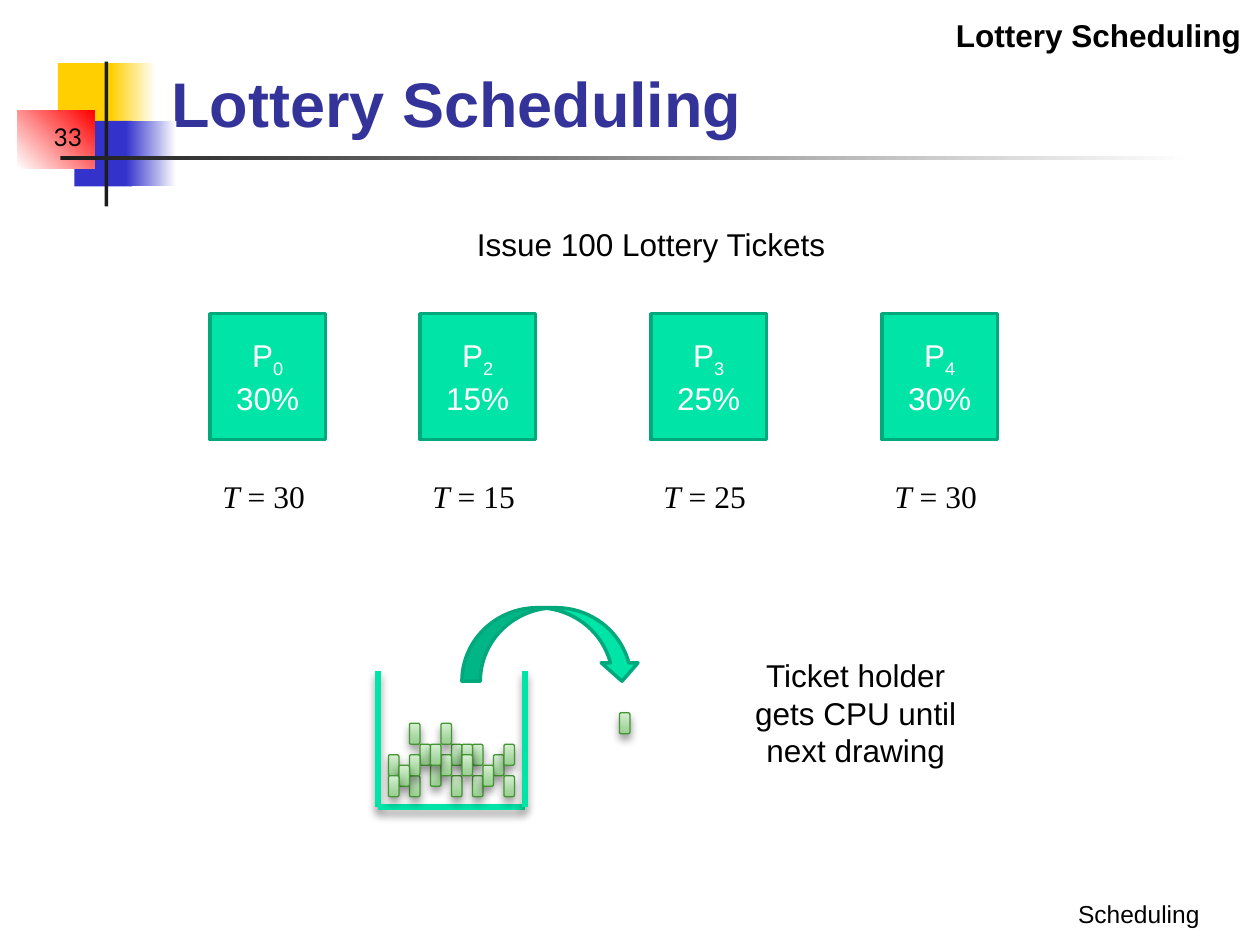
"""Build the lottery scheduling slide."""
from dataclasses import dataclass
from typing import Any, NamedTuple, Optional

import pptx
import pptx.dml.color
import pptx.enum.shapes
import pptx.enum.text
import pptx.oxml
import pptx.oxml.ns
import pptx.util
from lxml import etree

SHAPES = pptx.enum.shapes.MSO_SHAPE
ALIGN = pptx.enum.text.PP_ALIGN
ANCHOR = pptx.enum.text.MSO_ANCHOR
WIDTH, HEIGHT = pptx.util.Inches(10), pptx.util.Inches(7.5)
COLUMNS, ROWS, ROW_SHIFT = 120, 90, -0.12


@dataclass(frozen=True)
class Theme:
    """Colours, fonts and sizes of the slide."""
    ink: str = "000000"
    paper: str = "FFFFFF"
    title: str = "333399"
    yellow: str = "FFCF01"
    blue: str = "3333CC"
    red: str = "FF0000"
    rule: str = "1C1C1C"
    process: str = "00E4A8"
    process_edge: str = "00A97C"
    ticket: tuple = ((0, "9CCE95"), (25, "A4D59D"), (100, "D6EFD3"))
    ticket_edge: str = "439631"
    sans: str = "Arial"
    serif: str = "Times New Roman"
    number: str = "Lato"
    title_size: float = 36
    body_size: float = 18
    small_size: float = 14
    edge_width: float = 2
    urn_width: float = 3.35
    ticket_width: float = 0.75


THEME = Theme()


class Area(NamedTuple):
    """Left, top, width and height in percent of the slide."""
    left: float
    top: float
    width: float
    height: float

    def emu(self) -> list[int]:
        """Return the lengths in EMU."""
        return [round(share * side / 100) for share, side in zip(self, (WIDTH, HEIGHT) * 2)]


class Piece(NamedTuple):
    """A run of text with its font values and baseline."""
    words: str
    values: dict[str, Any] = {}
    baseline: int = 0


class Process(NamedTuple):
    """A process with its ticket share, column and label width."""
    index: str
    share: int
    column: int
    label_columns: int = 11


class Decor(NamedTuple):
    """A rectangle of the header ornament."""
    area: Area
    stops: tuple
    angle: float = 0


DECOR = (
    Decor(Area(4.6, 6.67, 4.8, 6.93), ((0, THEME.yellow),)),
    Decor(Area(8.8, 6.67, 3.6, 6.93), ((0, THEME.yellow), (100, THEME.paper))),
    Decor(Area(5.9, 12.8, 4.6, 6.93), ((0, THEME.blue),)),
    Decor(Area(10, 12.8, 4, 6.93), ((0, THEME.blue), (100, THEME.paper))),
    Decor(Area(1.4, 11.73, 6.1, 6.13), ((0, THEME.paper), (100, THEME.red)), 45),
    Decor(Area(8.3, 6.53, 0.3, 15.33), ((0, THEME.rule),)),
    Decor(Area(4.8, 16.53, 90, 0.4), ((0, THEME.rule), (100, THEME.paper))),
)
PROCESSES = (Process("0", 30, 20), Process("2", 15, 40), Process("3", 25, 62), Process("4", 30, 84, 13))
URN_CORNERS = ((36, 64), (36, 77), (50, 77), (50, 64))
TICKETS = (
    (39, 69), (41, 73), (43, 71), (45, 71), (43, 74), (37, 72), (40, 71),
    (45, 74), (47, 72), (39, 74), (48, 74), (42, 69), (48, 71), (44, 71),
    (46, 73), (39, 72), (44, 72), (38, 73), (37, 74), (42, 72), (41, 71),
)
DRAWN_TICKET = (59, 68)


def grid(column: float, row: float, columns: float = 0, rows: float = 0) -> Area:
    """Turn grid cells into shares of the slide."""
    return Area(column * 100 / COLUMNS, (row + ROW_SHIFT) * 100 / ROWS,
                columns * 100 / COLUMNS, rows * 100 / ROWS)


def rgb(value: str) -> pptx.dml.color.RGBColor:
    """Return a colour from its hex value."""
    return pptx.dml.color.RGBColor.from_string(value)


def paint(shape: Any, stops: tuple, angle: float = 0) -> None:
    """Fill with one colour or with a gradient."""
    if len(stops) == 1:
        shape.fill.solid()
        shape.fill.fore_color.rgb = rgb(stops[0][1])
        return
    shape.fill.gradient()
    shape.fill.gradient_angle = angle
    stop_list = shape.element.spPr.find(".//" + pptx.oxml.ns.qn("a:gsLst"))
    for stop in list(stop_list):
        stop_list.remove(stop)
    for position, colour in stops:
        stop = etree.SubElement(stop_list, pptx.oxml.ns.qn("a:gs"), pos=str(position * 1000))
        etree.SubElement(stop, pptx.oxml.ns.qn("a:srgbClr"), val=colour)


def outline(line: Any, colour: str, width: float) -> None:
    """Set the colour and width of a line."""
    line.color.rgb = rgb(colour)
    line.width = pptx.util.Pt(width)


def cast_shadow(shape: Any) -> None:
    """Give the shape a soft shadow below it."""
    for old in shape.element.spPr.findall(pptx.oxml.ns.qn("a:effectLst")):
        shape.element.spPr.remove(old)
    shape.element.spPr.append(pptx.oxml.parse_xml(
        f'<a:effectLst {pptx.oxml.ns.nsdecls("a")}>'
        '<a:outerShdw blurRad="63500" dist="38100" dir="5400000" rotWithShape="0">'
        f'<a:srgbClr val="{THEME.ink}"><a:alpha val="40000"/></a:srgbClr>'
        '</a:outerShdw></a:effectLst>'))


def write(frame: Any, paragraphs: list[list[Piece]], align: Any = ALIGN.LEFT,
          anchor: Any = ANCHOR.TOP, colour: str = THEME.ink, **common: Any) -> None:
    """Write paragraphs of formatted pieces into a text frame."""
    settings = {"word_wrap": True, "auto_size": pptx.enum.text.MSO_AUTO_SIZE.NONE,
                "vertical_anchor": anchor}
    for name, value in settings.items():
        setattr(frame, name, value)
    for number, pieces in enumerate(paragraphs):
        paragraph = frame.add_paragraph() if number else frame.paragraphs[0]
        paragraph.alignment = align
        for piece in pieces:
            run = paragraph.add_run()
            run.text = piece.words
            values = {"name": THEME.sans, "size": pptx.util.Pt(THEME.body_size)} | common | piece.values
            for name, value in values.items():
                setattr(run.font, name, value)
            run.font.color.rgb = rgb(colour)
            if piece.baseline:
                run._r.get_or_add_rPr().set("baseline", str(piece.baseline * 1000))


def add_text(slide: Any, area: Area, pieces: list[Piece], **values: Any) -> None:
    """Add a text box with one paragraph."""
    write(slide.shapes.add_textbox(*area.emu()).text_frame, [pieces], **values)


def add_block(slide: Any, kind: Any, area: Area, stops: tuple, angle: float = 0,
              edge: Optional[tuple[str, float]] = None) -> Any:
    """Add a filled shape, outlined when an edge is given."""
    block = slide.shapes.add_shape(kind, *area.emu())
    block.shadow.inherit = False
    paint(block, stops, angle)
    if edge:
        outline(block.line, *edge)
    else:
        block.line.fill.background()
    return block


def add_process(slide: Any, process: Process) -> None:
    """Draw a process square and its ticket count."""
    square = add_block(slide, SHAPES.RECTANGLE, grid(process.column, 30, 11, 12),
                       ((0, THEME.process),), edge=(THEME.process_edge, THEME.edge_width))
    write(square.text_frame, [[Piece("P"), Piece(process.index, baseline=-25)],
                              [Piece(f"{process.share}%")]],
          ALIGN.CENTER, ANCHOR.MIDDLE, THEME.paper)
    add_text(slide, grid(process.column, 45, process.label_columns, 4.8),
             [Piece("T", {"italic": True}), Piece(f" = {process.share}")], name=THEME.serif)


def add_ticket(slide: Any, column: int, row: int) -> None:
    """Draw one lottery ticket."""
    cast_shadow(add_block(slide, SHAPES.ROUNDED_RECTANGLE, grid(column, row, 1, 2), THEME.ticket,
                          90, (THEME.ticket_edge, THEME.ticket_width)))


def add_urn(slide: Any) -> None:
    """Draw the open urn that holds the tickets."""
    for start, end in zip(URN_CORNERS, URN_CORNERS[1:]):
        wall = slide.shapes.add_connector(pptx.enum.shapes.MSO_CONNECTOR.STRAIGHT,
                                          *grid(*start).emu()[:2], *grid(*end).emu()[:2])
        outline(wall.line, THEME.process, THEME.urn_width)
        cast_shadow(wall)


def main() -> None:
    """Build and save the slide."""
    deck = pptx.Presentation()
    deck.slide_width, deck.slide_height = WIDTH, HEIGHT
    slide = deck.slides.add_slide(deck.slide_layouts[5])
    small = pptx.util.Pt(THEME.small_size)
    for decor in DECOR:
        add_block(slide, SHAPES.RECTANGLE, *decor)
    add_text(slide, Area(0.6, 10, 6.9, 6.67), [Piece("33")], align=ALIGN.RIGHT,
             anchor=ANCHOR.BOTTOM, name=THEME.number, size=small)
    title = slide.shapes.title
    for side, length in zip(Area._fields, Area(12.6, 2.8, 85.2, 12.67).emu()):
        setattr(title, side, length)
    write(title.text_frame, [[Piece("Lottery Scheduling")]], anchor=ANCHOR.BOTTOM,
          colour=THEME.title, size=pptx.util.Pt(THEME.title_size), bold=True)
    for process in PROCESSES:
        add_process(slide, process)
    add_text(slide, grid(40, 21, 44, 4.8), [Piece("Issue 100 Lottery Tickets")], align=ALIGN.CENTER)
    add_urn(slide)
    for ticket in TICKETS:
        add_ticket(slide, *ticket)
    add_block(slide, SHAPES.CURVED_DOWN_ARROW, grid(44, 58, 17, 7), ((0, THEME.process),),
              edge=(THEME.process_edge, THEME.edge_width))
    add_ticket(slide, *DRAWN_TICKET)
    add_text(slide, grid(69, 62, 25, 12), [Piece("Ticket holder gets CPU until next drawing")],
             align=ALIGN.CENTER)
    add_text(slide, Area(66.1, 1.07, 33.4, 5.33), [Piece("Lottery Scheduling")],
             align=ALIGN.RIGHT, bold=True)
    add_text(slide, Area(64.5, 92.27, 31.7, 6.67), [Piece("Scheduling")], align=ALIGN.RIGHT,
             anchor=ANCHOR.BOTTOM, size=small)
    deck.save("out.pptx")


if __name__ == "__main__":
    main()
